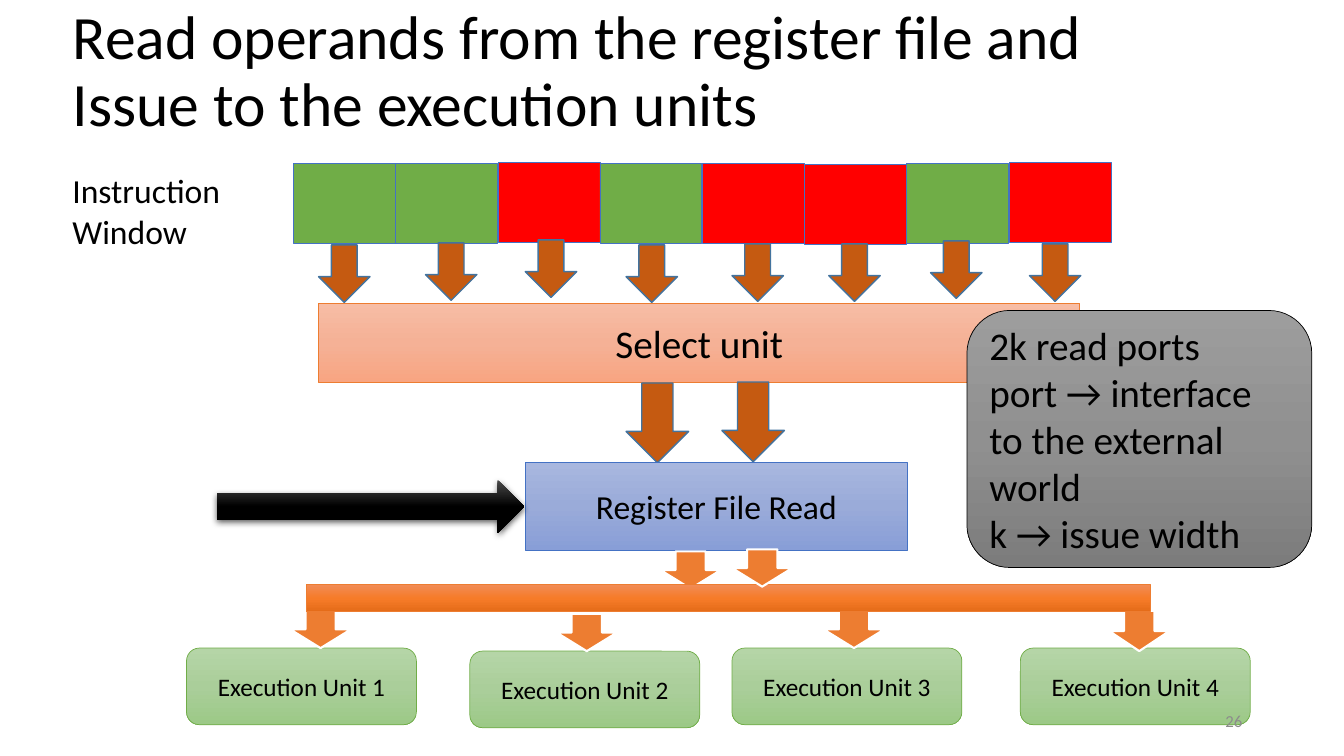
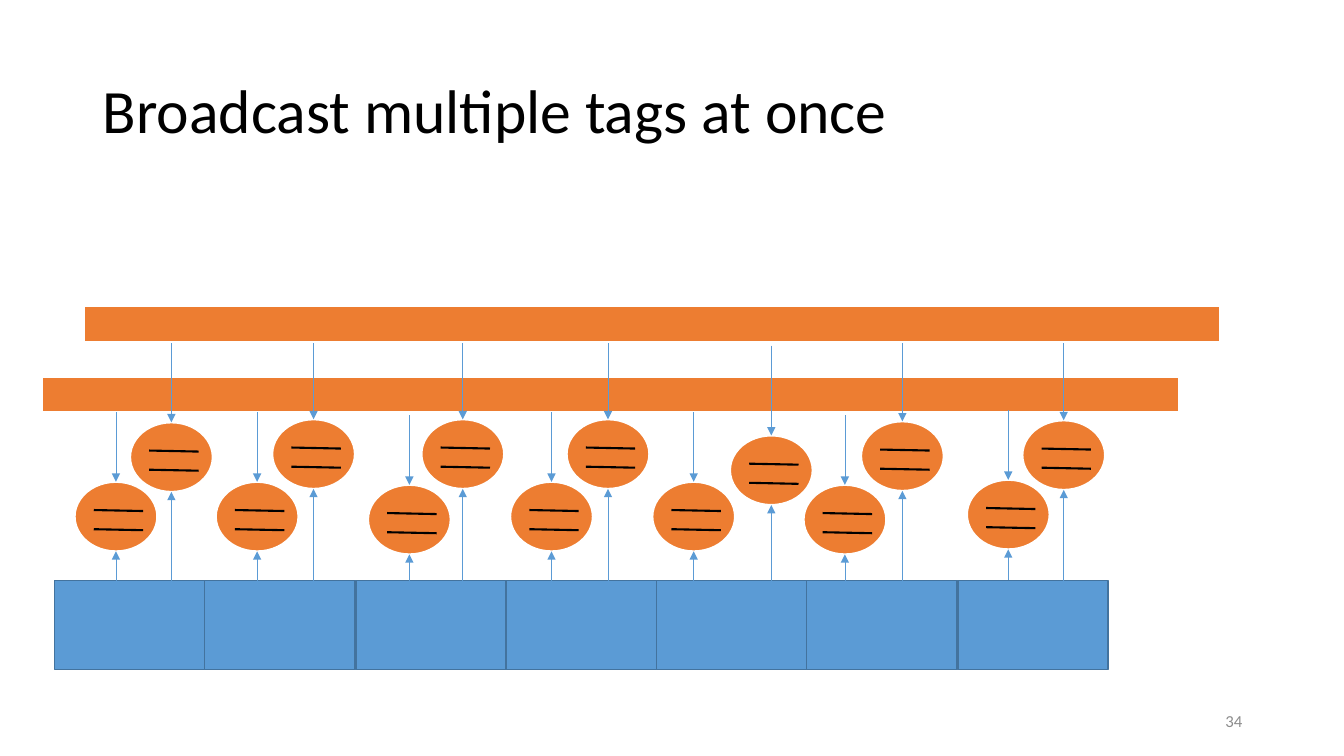
from copy import deepcopy

from lxml.etree import SubElement
from pptx import Presentation
from pptx.dml.color import RGBColor
from pptx.enum.shapes import MSO_CONNECTOR, MSO_SHAPE
from pptx.enum.text import MSO_ANCHOR, MSO_AUTO_SIZE, PP_ALIGN
from pptx.oxml.ns import qn
from pptx.util import Emu, Pt

PX = 9144
FONT = "Calibri"
BLACK = RGBColor(0x00, 0x00, 0x00)
WHITE = RGBColor(0xFF, 0xFF, 0xFF)
GRAY = RGBColor(0x8C, 0x8C, 0x8C)
RED = RGBColor(0xFF, 0x00, 0x00)
GREEN = RGBColor(0x70, 0xAD, 0x47)
ORANGE = RGBColor(0xED, 0x7D, 0x31)
BROWN = RGBColor(0xC5, 0x5A, 0x11)
BLUE = RGBColor(0x44, 0x72, 0xC4)
SKY = RGBColor(0x5B, 0x9B, 0xD5)
STEEL = RGBColor(0x43, 0x73, 0x9E)

PEACH_FADE = (RGBColor(0xF7, 0xBD, 0xA5), RGBColor(0xF5, 0xB1, 0x96), RGBColor(0xF8, 0xA5, 0x82))
BLUE_FADE = (RGBColor(0xA8, 0xB7, 0xDF), RGBColor(0x9A, 0xAB, 0xD9), RGBColor(0x88, 0x9E, 0xD7))
GREEN_FADE = (RGBColor(0xB5, 0xD5, 0xA7), RGBColor(0xAA, 0xCE, 0x9A), RGBColor(0x9C, 0xC9, 0x87))
ORANGE_FADE = (RGBColor(0xF1, 0x8C, 0x57), RGBColor(0xF6, 0x7B, 0x28), RGBColor(0xE5, 0x6C, 0x19))
BLACK_FADE = (RGBColor(0x4B, 0x4B, 0x4B), BLACK, BLACK)
GRAY_FADE = (RGBColor(0x9D, 0x9D, 0x9D), RGBColor(0x90, 0x90, 0x90), RGBColor(0x7C, 0x7C, 0x7C))

SELECT_ARROW = (BROWN, (STEEL, 1))
ISSUE_ARROW = (ORANGE, (WHITE, 1.5))


def px(*lengths):
    return [Emu(length * PX) for length in lengths]


def assign(target, values):
    for name, value in values.items():
        setattr(target, name, value)


def write(box, lines, size, color=BLACK, align=PP_ALIGN.LEFT, spacing=None, **frame_format):
    frame = box.text_frame
    assign(frame, {"word_wrap": True, "vertical_anchor": MSO_ANCHOR.MIDDLE, **frame_format})
    for index, line in enumerate(lines):
        para = frame.paragraphs[0] if index == 0 else frame.add_paragraph()
        assign(para, {"alignment": align, "line_spacing": spacing})
        span = para.add_run()
        span.text = line
        assign(span.font, {"name": FONT, "size": Pt(size)})
        span.font.color.rgb = color


def add_page(deck, title, left, top, number):
    page = deck.slides.add_slide(deck.slide_layouts[5])
    heading = page.shapes.title
    assign(heading, dict(zip(("left", "top", "width", "height"), px(left, top, 1150, 145))))
    write(heading, [title], 44, spacing=0.9, auto_size=MSO_AUTO_SIZE.NONE)
    return page, lambda: add_text(page, (942, 695, 300, 40), [number], 12, GRAY, PP_ALIGN.RIGHT)


def add_text(page, place, lines, size, *style, **frame_format):
    box = page.shapes.add_textbox(*px(*place))
    write(box, lines, size, *style, **frame_format)


def fade(fill, shape, colors):
    fill.gradient()
    fill.gradient_angle = 270
    stops = shape._element.spPr.find(".//" + qn("a:gsLst"))
    stops.append(deepcopy(stops[0]))
    for stop, color, position in zip(fill.gradient_stops, colors, (0, 0.5, 1)):
        stop.color.rgb = color
        stop.position = position


def add_block(holder, kind, place, paint, outline=None):
    shape = holder.shapes.add_shape(kind, *px(*place))
    shape.shadow.inherit = False
    if isinstance(paint, RGBColor):
        shape.fill.solid()
        shape.fill.fore_color.rgb = paint
    else:
        fade(shape.fill, shape, paint)
    if outline:
        color, width = outline
        shape.line.color.rgb = color
        shape.line.width = Pt(width)
    else:
        shape.line.fill.background()
    return shape


def add_label(page, kind, place, paint, color, text, size):
    box = add_block(page, kind, place, paint, (color, 0.5))
    write(box, [text], size, align=PP_ALIGN.CENTER)


def add_down_arrows(page, spots, width, height, style):
    for left, top in spots:
        add_block(page, MSO_SHAPE.DOWN_ARROW, (left, top, width, height), *style)


def cast_shadow(shape):
    effects = shape._element.spPr.find(qn("a:effectLst"))
    shadow = SubElement(effects, qn("a:outerShdw"), blurRad="57150", dist="19050",
                        dir="5400000", algn="ctr", rotWithShape="0")
    color = SubElement(shadow, qn("a:srgbClr"), val=str(BLACK))
    SubElement(color, qn("a:alpha"), val="63000")


def add_line(holder, ends, color, width, arrow=False):
    line = holder.shapes.add_connector(MSO_CONNECTOR.STRAIGHT, *px(*ends))
    line.line.color.rgb = color
    line.line.width = Pt(width)
    SubElement(line._element.spPr, qn("a:effectLst"))
    if arrow:
        SubElement(line.line._get_or_add_ln(), qn("a:tailEnd"), type="triangle")
    return line


def add_comparator(page, left, top, rise, drop):
    group = page.shapes.add_group_shape()
    circle = add_block(group, MSO_SHAPE.OVAL, (left, top, 82, 69), ORANGE, (WHITE, 1.5))
    for offset in (28, 47):
        add_line(group, (left + 19, top + offset, left + 68, top + offset + 1), BLACK, 1.5)
    middle = left + 41
    add_line(group, (middle, top + 69 + drop, middle, top + 69), SKY, 0.5, True)
    tag = add_line(group, (middle, top - rise, middle, top), SKY, 0.5, True)
    tag.end_connect(circle, 0)


def build_issue_page(deck):
    page, add_number = add_page(
        deck, "Read operands from the register file and Issue to the execution units", 62, 0, "26")
    cells = zip((GREEN, GREEN, RED, GREEN, RED, RED, GREEN, RED),
                (162, 162, 161, 162, 162, 163, 162, 161))
    for index, (color, top) in enumerate(cells):
        place = (291 + round(101.4 * index), top, 101, 79)
        add_block(page, MSO_SHAPE.RECTANGLE, place, color, (BLUE, 0.5))
    add_label(page, MSO_SHAPE.RECTANGLE, (316, 301, 755, 78), PEACH_FADE, ORANGE, "Select unit", 28)
    add_down_arrows(page, ((316, 243), (422, 241), (521, 238), (621, 243),
                           (726, 242), (822, 242), (923, 239), (1021, 242)), 51, 57, SELECT_ARROW)
    add_text(page, (62, 164, 176, 91), ["Instruction", "Window"], 24,
             word_wrap=False, vertical_anchor=MSO_ANCHOR.TOP,
             auto_size=MSO_AUTO_SIZE.SHAPE_TO_FIT_TEXT)
    add_down_arrows(page, ((621, 380), (716, 379)), 62, 79, SELECT_ARROW)
    add_label(page, MSO_SHAPE.RECTANGLE, (521, 459, 379, 87), BLUE_FADE, BLUE,
              "Register File Read", 24)
    for unit, (left, top) in enumerate(((185, 643), (466, 646), (726, 643), (1012, 643)), 1):
        add_label(page, MSO_SHAPE.ROUNDED_RECTANGLE, (left, top, 228, 76), GREEN_FADE, GREEN,
                  f"Execution Unit {unit}", 18)
    add_down_arrows(page, ((288, 606), (552, 609), (817, 606), (655, 547)), 60, 37, ISSUE_ARROW)
    add_down_arrows(page, ((1100, 606),), 60, 40, ISSUE_ARROW)
    add_block(page, MSO_SHAPE.RECTANGLE, (304, 580, 837, 27), ORANGE_FADE, (ORANGE, 0.5))
    add_down_arrows(page, ((726, 545),), 60, 37, ISSUE_ARROW)
    cast_shadow(add_block(page, MSO_SHAPE.RIGHT_ARROW, (215, 476, 305, 53), BLACK_FADE))
    note = add_block(page, MSO_SHAPE.ROUNDED_RECTANGLE, (959, 308, 342, 255),
                     GRAY_FADE, (BLACK, 0.5))
    write(note, ["2k read ports", "port → interface to the external world", "k → issue width"], 28)
    add_number()


def build_broadcast_page(deck):
    page, add_number = add_page(deck, "Broadcast multiple tags at once", 92, 40, "34")
    for index in range(7):
        place = (54 + round(149.3 * index), 576, 149, 88)
        add_block(page, MSO_SHAPE.RECTANGLE, place, SKY, (STEEL, 1))
    add_block(page, MSO_SHAPE.RECTANGLE, (42, 374, 1127, 35), ORANGE, (WHITE, 1.5))
    for left, top in ((74, 478), (214, 478), (365, 481), (506, 478),
                      (647, 478), (797, 481), (959, 476)):
        add_comparator(page, left, top, 69, 30)
    for left, top in ((129, 419), (270, 416), (418, 416), (562, 416),
                      (854, 418), (724, 432), (1014, 417)):
        add_comparator(page, left, top, 89, 92)
    add_block(page, MSO_SHAPE.RECTANGLE, (83, 304, 1127, 35), ORANGE, (WHITE, 1.5))
    add_number()


def main():
    deck = Presentation()
    deck.slide_width, deck.slide_height = px(1333, 750)
    build_issue_page(deck)
    build_broadcast_page(deck)
    deck.save("out.pptx")


if __name__ == "__main__":
    main()
